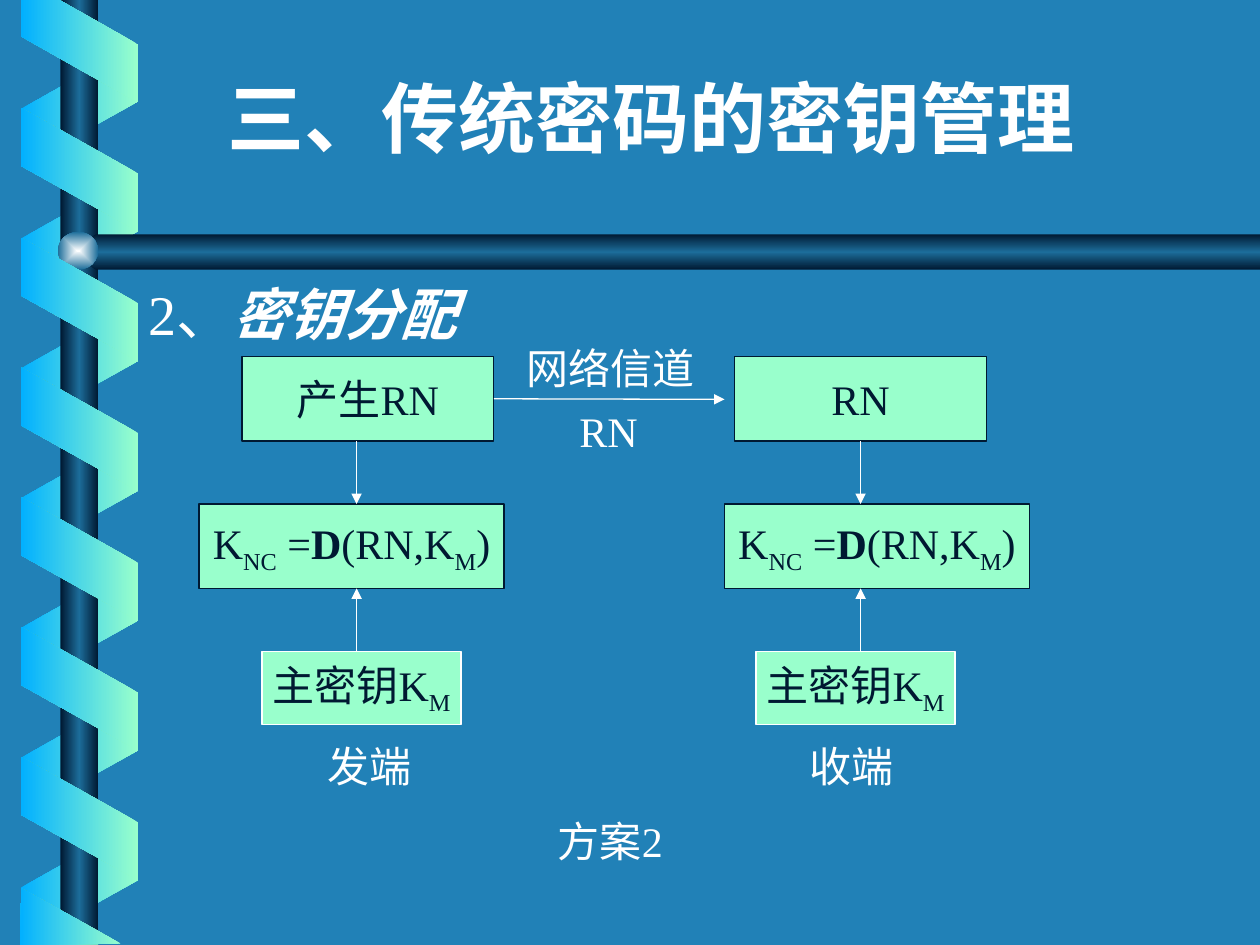
"""Build a slide on key distribution between a sender and a receiver."""
from lxml import etree
from pptx import Presentation
from pptx.dml.color import RGBColor
from pptx.enum.shapes import MSO_CONNECTOR, MSO_SHAPE
from pptx.enum.text import MSO_ANCHOR, PP_ALIGN
from pptx.oxml.ns import qn
from pptx.util import Inches, Pt

RECTANGLE = MSO_SHAPE.RECTANGLE
PARALLELOGRAM = MSO_SHAPE.PARALLELOGRAM
OVAL = MSO_SHAPE.OVAL
STRAIGHT = MSO_CONNECTOR.STRAIGHT
CENTER = PP_ALIGN.CENTER
MIDDLE = MSO_ANCHOR.MIDDLE
BOTTOM = MSO_ANCHOR.BOTTOM

COLORS = {
    "background": "2181B7", "navy": "001932", "steel": "1C6D9A", "sky": "01B0FF",
    "mint": "99FFCC", "white": "FFFFFF", "pearl": "FEFFFF",
}
SERIF = "Times New Roman"
RGB = {name: RGBColor.from_string(value) for name, value in COLORS.items()}


def fill_gradient(shape, names, angle=None):
    shape.shadow.inherit = False
    shape.line.fill.background()
    shape.fill.gradient()
    gradient = shape._element.spPr.find(qn("a:gradFill"))
    for child in list(gradient):
        gradient.remove(child)
    gradient.set("rotWithShape", "0")
    stops = etree.SubElement(gradient, qn("a:gsLst"))
    for index, name in enumerate(names):
        position = 100000 * index // (len(names) - 1)
        stop = etree.SubElement(stops, qn("a:gs"), pos=str(position))
        etree.SubElement(stop, qn("a:srgbClr"), val=COLORS[name])
    if angle is None:
        center = etree.SubElement(gradient, qn("a:path"), path="rect")
        etree.SubElement(center, qn("a:fillToRect"), l="50000", t="50000", r="50000", b="50000")
    else:
        etree.SubElement(gradient, qn("a:lin"), ang=str(angle * 60000), scaled="0")


def write_text(shape, parts, size, color, font=SERIF, alignment=None, wrap=True):
    text_frame = shape.text_frame
    text_frame.word_wrap = wrap
    paragraph = text_frame.paragraphs[0]
    paragraph.alignment = alignment
    for text, style in parts:
        run = paragraph.add_run()
        run.text = text
        run.font.name = font
        run.font.size = Pt(size)
        run.font.color.rgb = RGB[color]
        run.font.bold = "bold" in style
        run.font.italic = "italic" in style
        if "subscript" in style:
            run.font._element.set("baseline", "-25000")


presentation = Presentation()
presentation.slide_width = Inches(10)
presentation.slide_height = Inches(7.5)
slide = presentation.slides.add_slide(presentation.slide_layouts[6])
slide.background.fill.solid()
slide.background.fill.fore_color.rgb = RGB["background"]
shapes = slide.shapes

COIL_PITCH = 1.03
for turn in range(7):
    strand = shapes.add_shape(PARALLELOGRAM, Inches(0.14), Inches(0.37 + turn * COIL_PITCH),
                              Inches(0.98), Inches(0.93))
    strand.rotation = 90
    strand.adjustments[0] = 0.56
    strand._element.spPr.xfrm.set("flipH", "1")
    fill_gradient(strand, ["sky", "mint"], 180)

rod = shapes.add_shape(RECTANGLE, Inches(0.48), 0, Inches(0.3), Inches(7.5))
fill_gradient(rod, ["navy", "steel", "navy"], 180)

bar_points = [(10, 1.86), (0.76, 1.86), (0.6, 2), (0.76, 2.14), (10, 2.14)]
top_points = [(0.17, 0), (0.17, 0.29), (1.09, 0.81), (1.09, 0.35), (0.47, 0)]
end_points = [(0.96, 7.49), (0.17, 7.05), (0.16, 7.5)]
for points, names, angle in [
    (bar_points, ["navy", "steel", "navy"], 90),
    (top_points, ["mint", "sky"], 180),
    (end_points, ["mint", "sky"], 180),
]:
    corners = [(Inches(x), Inches(y)) for x, y in points]
    builder = shapes.build_freeform(*corners[0])
    builder.add_line_segments(corners[1:], close=True)
    fill_gradient(builder.convert_to_shape(), names, angle)

ball = shapes.add_shape(OVAL, Inches(0.46), Inches(1.84), Inches(0.32), Inches(0.3))
fill_gradient(ball, ["pearl", "steel"])

for turn in range(6):
    strand = shapes.add_shape(PARALLELOGRAM, Inches(0.14), Inches(0.88 + turn * COIL_PITCH),
                              Inches(0.98), Inches(0.93))
    strand.rotation = 270
    strand.adjustments[0] = 0.56
    fill_gradient(strand, ["mint", "sky"], 180)

title = shapes.add_textbox(Inches(0.92), Inches(0.42), Inches(8.5), Inches(0.92))
title.text_frame.vertical_anchor = BOTTOM
write_text(title, [("三、传统密码的密钥管理", "bold")], 44, "white", "Roboto Condensed", CENTER)

heading = shapes.add_textbox(Inches(1.08), Inches(2.17), Inches(8.58), Inches(0.63))
write_text(heading, [("2、", ""), ("密钥分配", "bold italic")], 32, "white")

derivation = [("K", ""), ("NC", "subscript"), (" =", ""), ("D", "bold"),
              ("(RN,K", ""), ("M", "subscript"), (")", "")]
master_key = [("主密钥K", ""), ("M", "subscript")]
boxes = {}
for side, random_text, random_left, derived_left, key_left in [
    ("sender", "产生RN", 1.92, 1.58, 2.08),
    ("receiver", "RN", 5.83, 5.75, 6),
]:
    for role, parts, left, top, width, height, border in [
        ("random", [(random_text, "")], random_left, 2.83, 2, 0.67, "navy"),
        ("derived", derivation, derived_left, 4, 2.42, 0.67, "navy"),
        ("key", master_key, key_left, 5.17, 1.58, 0.58, "white"),
    ]:
        box = shapes.add_shape(RECTANGLE, Inches(left), Inches(top), Inches(width), Inches(height))
        box.shadow.inherit = False
        box.fill.solid()
        box.fill.fore_color.rgb = RGB["mint"]
        box.line.color.rgb = RGB[border]
        box.line.width = Pt(0.75)
        box.text_frame.vertical_anchor = MIDDLE
        write_text(box, parts, 24, "navy", alignment=CENTER, wrap=False)
        boxes[side, role] = box

for text, left, top, width in [
    ("网络信道", 4.08, 2.67, 1.58),
    ("RN", 4.5, 3.17, 0.67),
    ("发端", 2.5, 5.83, 1.08),
    ("收端", 6.33, 5.83, 1.08),
    ("方案2", 4.33, 6.42, 1.67),
]:
    label = shapes.add_textbox(Inches(left), Inches(top), Inches(width), Inches(0.5))
    write_text(label, [(text, "")], 24, "white")

for start_x, start_y, end_x, end_y, source, site in [
    (3.92, 3.17, 5.75, 3.17, ("sender", "random"), 3),
    (2.83, 3.5, 2.83, 4, None, None),
    (2.83, 5.17, 2.83, 4.67, None, None),
    (6.83, 3.5, 6.83, 4, ("receiver", "random"), 2),
    (6.83, 5.17, 6.83, 4.67, None, None),
]:
    arrow = shapes.add_connector(STRAIGHT, Inches(start_x), Inches(start_y),
                                 Inches(end_x), Inches(end_y))
    if source:
        arrow.begin_connect(boxes[source], site)
    arrow.line.color.rgb = RGB["white"]
    arrow.line.width = Pt(0.75)
    etree.SubElement(arrow.line._get_or_add_ln(), qn("a:tailEnd"), type="triangle")
    etree.SubElement(arrow._element.spPr, qn("a:effectLst"))

presentation.save("out.pptx")
